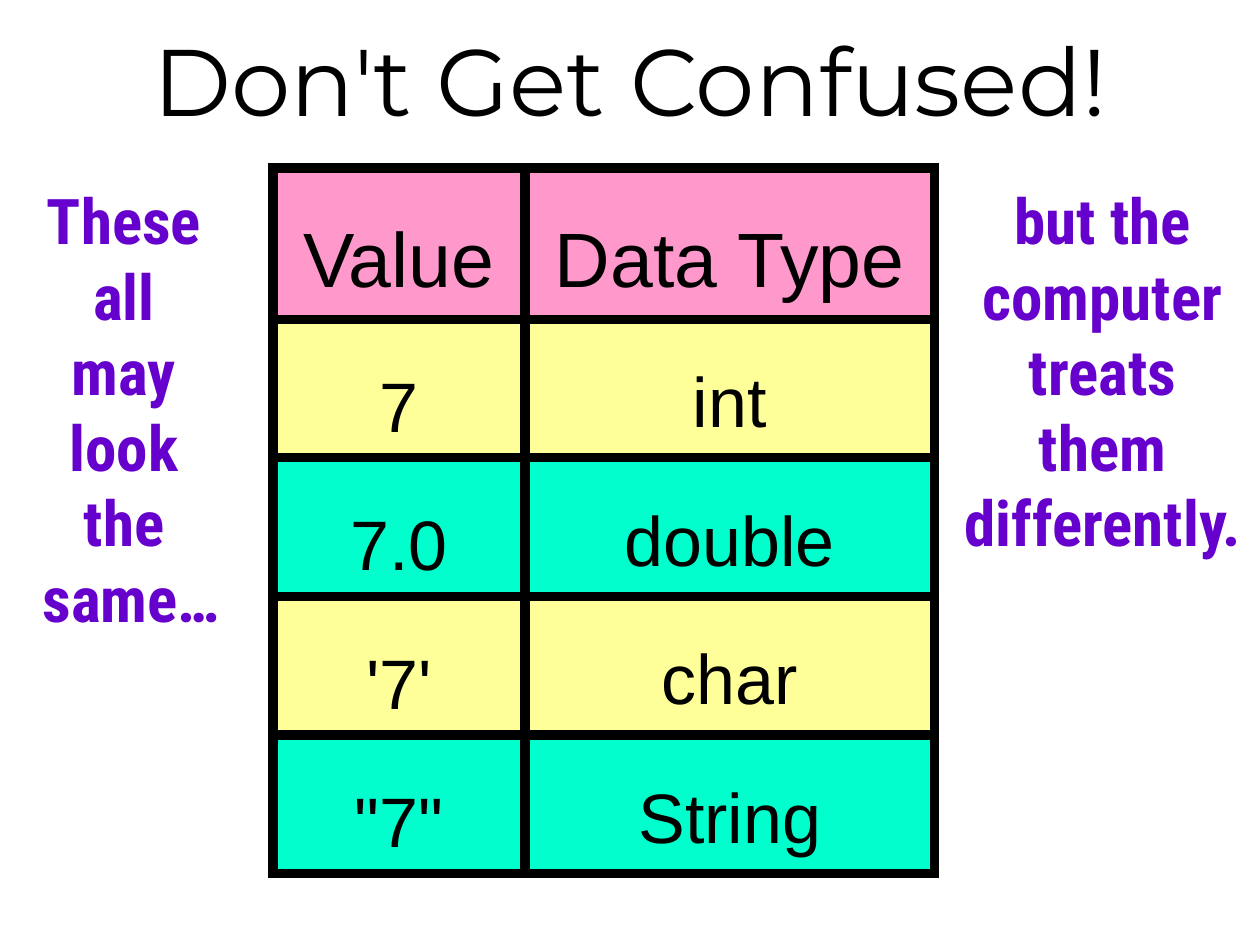
from dataclasses import dataclass

from lxml.etree import SubElement
from pptx import Presentation
from pptx.dml.color import RGBColor
from pptx.enum.text import MSO_ANCHOR, PP_ALIGN
from pptx.oxml.ns import qn
from pptx.util import Inches, Pt

WIDTH, HEIGHT = Inches(10), Inches(7.5)
GRID_COLUMNS, GRID_ROWS = 120, 90
BLACK, PINK, YELLOW, MINT, PURPLE = "000000", "FF99CC", "FFFF99", "00FFCC", "6600CC"
BORDER_WIDTH = Pt(6)
COLUMN_WIDTHS = (2, 3.25)
TITLE_FORMAT = {"name": "Montserrat", "size": Pt(54), "bold": False}
HEADER_FORMAT = {"name": "Arial", "size": Pt(44), "bold": False}
VALUE_FORMAT = {"name": "Arial", "size": Pt(40), "bold": False}
REMARK_FORMAT = {"name": "Roboto Condensed", "size": Pt(36), "bold": True}
REMARK_FRAME = {"word_wrap": False, "margin_left": 0, "margin_right": 0}


@dataclass(frozen=True)
class Area:
    column: float
    row: float
    columns: float
    rows: float

    def lengths(self) -> tuple[int, int, int, int]:
        across, down = WIDTH / GRID_COLUMNS, HEIGHT / GRID_ROWS
        return (round(self.column * across), round(self.row * down),
                round(self.columns * across), round(self.rows * down))


@dataclass(frozen=True)
class TableRow:
    texts: tuple[str, str]
    fill: str
    height: float = 1.1
    is_header: bool = False


@dataclass(frozen=True)
class Remark:
    area: Area
    lines: tuple[str, ...]


ROWS = (
    TableRow(("Value", "Data Type"), PINK, 1.2, True),
    TableRow(("7", "int"), YELLOW),
    TableRow(("7.0", "double"), MINT),
    TableRow(("'7'", "char"), YELLOW),
    TableRow(('"7"', "String"), MINT),
)
REMARKS = (
    Remark(Area(1, 16.7, 23, 66),
           ("These ", "all ", "may ", "look ", "the ", "same…")),
    Remark(Area(91, 16.7, 28, 66),
           ("but the", "computer", "treats", "them", "differently.")),
)


def color(value: str) -> RGBColor:
    return RGBColor.from_string(value)


def write(paragraph, text: str, text_format: dict, text_color: str) -> None:
    paragraph.alignment = PP_ALIGN.CENTER
    span = paragraph.add_run()
    span.text = text
    for name, value in text_format.items():
        setattr(span.font, name, value)
    span.font.color.rgb = color(text_color)


def draw_title(page, text: str) -> None:
    title = page.shapes.title
    title.left, title.top, title.width, title.height = Area(0, 0, 120, 15).lengths()
    title.text_frame.vertical_anchor = MSO_ANCHOR.MIDDLE
    write(title.text_frame.paragraphs[0], text, TITLE_FORMAT, BLACK)


def add_borders(cell) -> None:
    properties = cell._tc.get_or_add_tcPr()
    for position, side in enumerate(("lnL", "lnR", "lnT", "lnB")):
        line = SubElement(properties, qn(f"a:{side}"), w=str(BORDER_WIDTH))
        fill = SubElement(line, qn("a:solidFill"))
        SubElement(fill, qn("a:srgbClr"), val=BLACK)
        properties.insert(position, line)


def draw_cell(cell, text: str, row: TableRow, centred: bool) -> None:
    cell.fill.solid()
    cell.fill.fore_color.rgb = color(row.fill)
    cell.vertical_anchor = MSO_ANCHOR.MIDDLE if centred else MSO_ANCHOR.TOP
    paragraph = cell.text_frame.paragraphs[0]
    paragraph.line_spacing = 1.5
    write(paragraph, text, HEADER_FORMAT if row.is_header else VALUE_FORMAT, BLACK)
    add_borders(cell)


def draw_table(page, area: Area, rows: tuple[TableRow, ...]) -> None:
    table = page.shapes.add_table(len(rows), len(COLUMN_WIDTHS), *area.lengths()).table
    for column, width in zip(table.columns, COLUMN_WIDTHS):
        column.width = Inches(width)
    for table_row, row in zip(table.rows, rows):
        table_row.height = Inches(row.height)
        for index, (cell, text) in enumerate(zip(table_row.cells, row.texts)):
            draw_cell(cell, text, row, index == 0 and not row.is_header)


def draw_remark(page, remark: Remark) -> None:
    box = page.shapes.add_textbox(*remark.area.lengths())
    frame = box.text_frame
    for name, value in REMARK_FRAME.items():
        setattr(frame, name, value)
    for index, line in enumerate(remark.lines):
        paragraph = frame.add_paragraph() if index else frame.paragraphs[0]
        write(paragraph, line, REMARK_FORMAT, PURPLE)


def main() -> None:
    deck = Presentation()
    deck.slide_width, deck.slide_height = WIDTH, HEIGHT
    page = deck.slides.add_slide(deck.slide_layouts[5])
    draw_title(page, "Don't Get Confused!")
    draw_table(page, Area(26, 16, 63, 67.2), ROWS)
    for remark in REMARKS:
        draw_remark(page, remark)
    deck.save("out.pptx")


if __name__ == "__main__":
    main()
